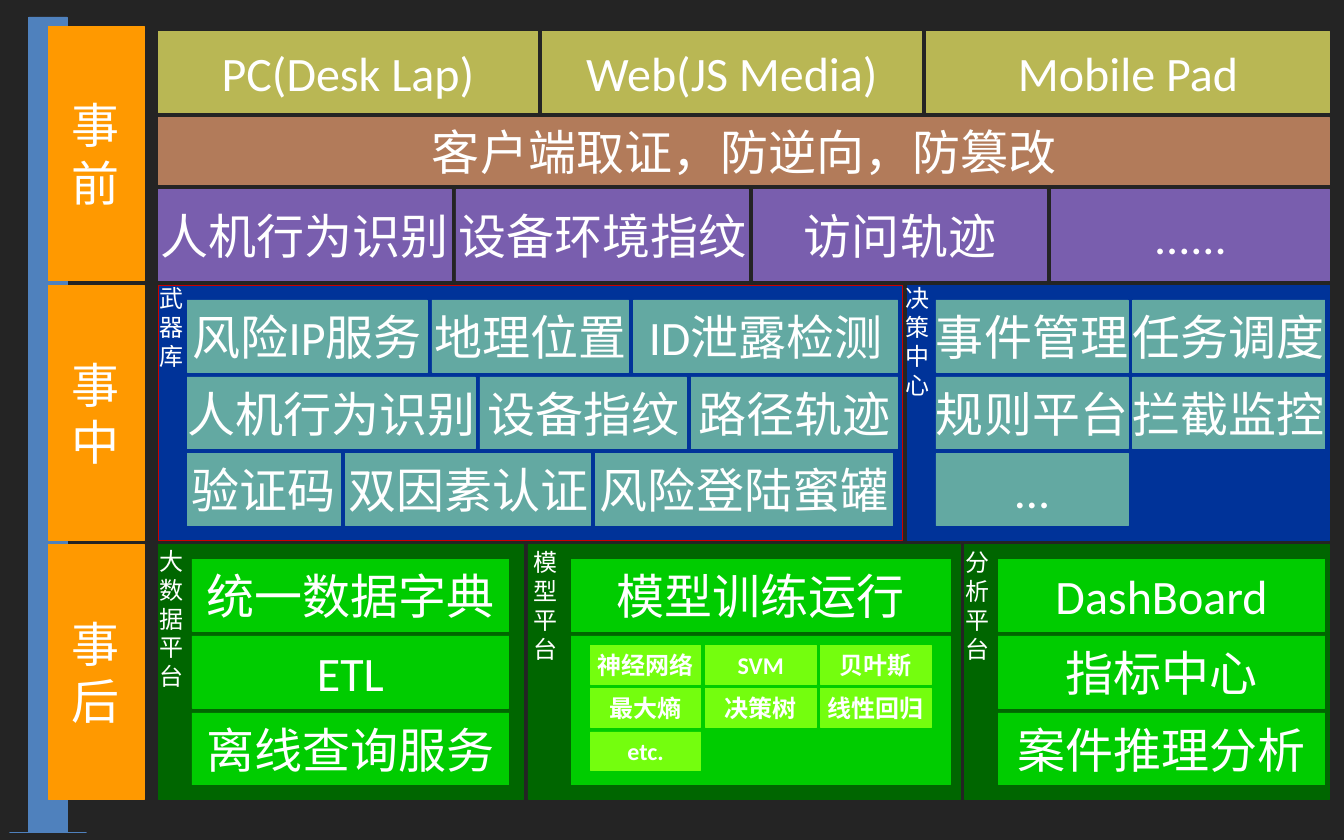
"""Build a one-slide risk-control architecture map: before, during and after an event."""
from pptx import Presentation
from pptx.dml.color import RGBColor
from pptx.enum.shapes import MSO_SHAPE
from pptx.enum.text import MSO_ANCHOR, MSO_AUTO_SIZE, PP_ALIGN
from pptx.util import Pt

PX = 9525
GAP = 8
THEME = {
    "font": "Calibri", "large": 60, "small": 30, "line": 0.75,
    "text": "FFFFFF", "backdrop": "242424", "arrow": "4F81BD", "stage": "FF9900",
    "client": "B9B754", "forensics": "B27B5A", "signal": "795EAE",
    "during": "003399", "arsenal_line": "CC0000", "service": "63A9A2",
    "after": "006600", "platform": "00CC00", "algorithm": "74FE0E",
}

presentation = Presentation()
presentation.slide_width = 2240 * PX
presentation.slide_height = 1400 * PX
slide = presentation.slides.add_slide(presentation.slide_layouts[6])


def write(shape, text, size, alignment, bold=None):
    """Put text into a shape, one paragraph per line."""
    shape.text_frame.text = text
    for paragraph in shape.text_frame.paragraphs:
        paragraph.alignment = alignment
        paragraph.font.name = THEME["font"]
        paragraph.font.size = Pt(THEME[size])
        paragraph.font.bold = bold
        paragraph.font.color.rgb = RGBColor.from_string(THEME["text"])


def add_box(left, top, width, height, fill, text="", size="large", line=None,
            kind=MSO_SHAPE.RECTANGLE):
    """Add a filled shape with optional centred text."""
    shape = slide.shapes.add_shape(kind, left * PX, top * PX, width * PX, height * PX)
    shape.shadow.inherit = False
    shape.fill.solid()
    shape.fill.fore_color.rgb = RGBColor.from_string(THEME[fill])
    shape.line.color.rgb = RGBColor.from_string(THEME[line or fill])
    shape.line.width = Pt(THEME["line"])
    if text:
        shape.text_frame.word_wrap = False
        shape.text_frame.vertical_anchor = MSO_ANCHOR.MIDDLE
        write(shape, text, size, PP_ALIGN.CENTER, True if size == "small" else None)
    return shape


backdrop = add_box(0, 0, 2240, 1400, "backdrop")
backdrop.line.fill.background()
arrow = add_box(16, 28, 128, 1360, "arrow", kind=MSO_SHAPE.DOWN_ARROW)
arrow.adjustments[0] = 0.5
arrow.adjustments[1] = -0.165

for index, stage in enumerate(["事\n前", "事\n中", "事\n后"]):
    add_box(80, 44 + index * 432, 160, 424, "stage", stage)

add_box(264, 196, 1952, 112, "forensics", "客户端取证，防逆向，防篡改",
        kind=MSO_SHAPE.FLOWCHART_PROCESS)

panels = [
    (264, 476, 1240, "during", "arsenal_line"),
    (1512, 476, 704, "during", None),
    (264, 908, 608, "after", None),
    (880, 908, 720, "after", None),
    (1608, 908, 608, "after", None),
]
for left, top, width, fill, line in panels:
    add_box(left, top, width, 424, fill, line=line)
add_box(952, 1060, 632, 248, "platform")

rows = [
    (264, 52, 136, "client", "large",
     [("PC(Desk Lap)", 632), ("Web(JS Media)", 632), ("Mobile Pad", 672)]),
    (264, 316, 152, "signal", "large",
     [("人机行为识别", 488), ("设备环境指纹", 488), ("访问轨迹", 488), ("......", 464)]),
    (312, 500, 120, "service", "large",
     [("风险IP服务", 400), ("地理位置", 328), ("ID泄露检测", 440)]),
    (312, 628, 120, "service", "large",
     [("人机行为识别", 480), ("设备指纹", 344), ("路径轨迹", 344)]),
    (312, 756, 120, "service", "large",
     [("验证码", 256), ("双因素认证", 408), ("风险登陆蜜罐", 496)]),
    (1560, 500, 120, "service", "large", [("事件管理", 320), ("任务调度", 320)]),
    (1560, 628, 120, "service", "large", [("规则平台", 320), ("拦截监控", 320)]),
    (1560, 756, 120, "service", "large", [("...", 320)]),
    (952, 932, 120, "platform", "large", [("模型训练运行", 632)]),
    (984, 1076, 64, "algorithm", "small", [("神经网络", 184), ("SVM", 184), ("贝叶斯", 184)]),
    (984, 1148, 64, "algorithm", "small", [("最大熵", 184), ("决策树", 184), ("线性回归", 184)]),
    (984, 1220, 64, "algorithm", "small", [("etc.", 184)]),
]
for left, top, height, fill, size, cells in rows:
    for text, width in cells:
        add_box(left, top, width, height, fill, text, size)
        left += width + GAP

columns = [
    (320, 528, ["统一数据字典", "ETL", "离线查询服务"]),
    (1664, 544, ["DashBoard", "指标中心", "案件推理分析"]),
]
for left, width, names in columns:
    for index, name in enumerate(names):
        add_box(left, 932 + index * (120 + GAP), width, 120, "platform", name)

labels = [
    (256, 468, 59, 154, "武\n器\n库"),
    (1500, 468, 61, 202, "决策中心"),
    (256, 906, 56, 250, "大数据平台"),
    (880, 908, 56, 202, "模型平台"),
    (1600, 908, 56, 202, "分析平台"),
]
for left, top, width, height, text in labels:
    label = slide.shapes.add_textbox(left * PX, top * PX, width * PX, height * PX)
    label.text_frame.word_wrap = True
    label.text_frame.auto_size = MSO_AUTO_SIZE.SHAPE_TO_FIT_TEXT
    write(label, text, "small", PP_ALIGN.LEFT)

presentation.save("out.pptx")
